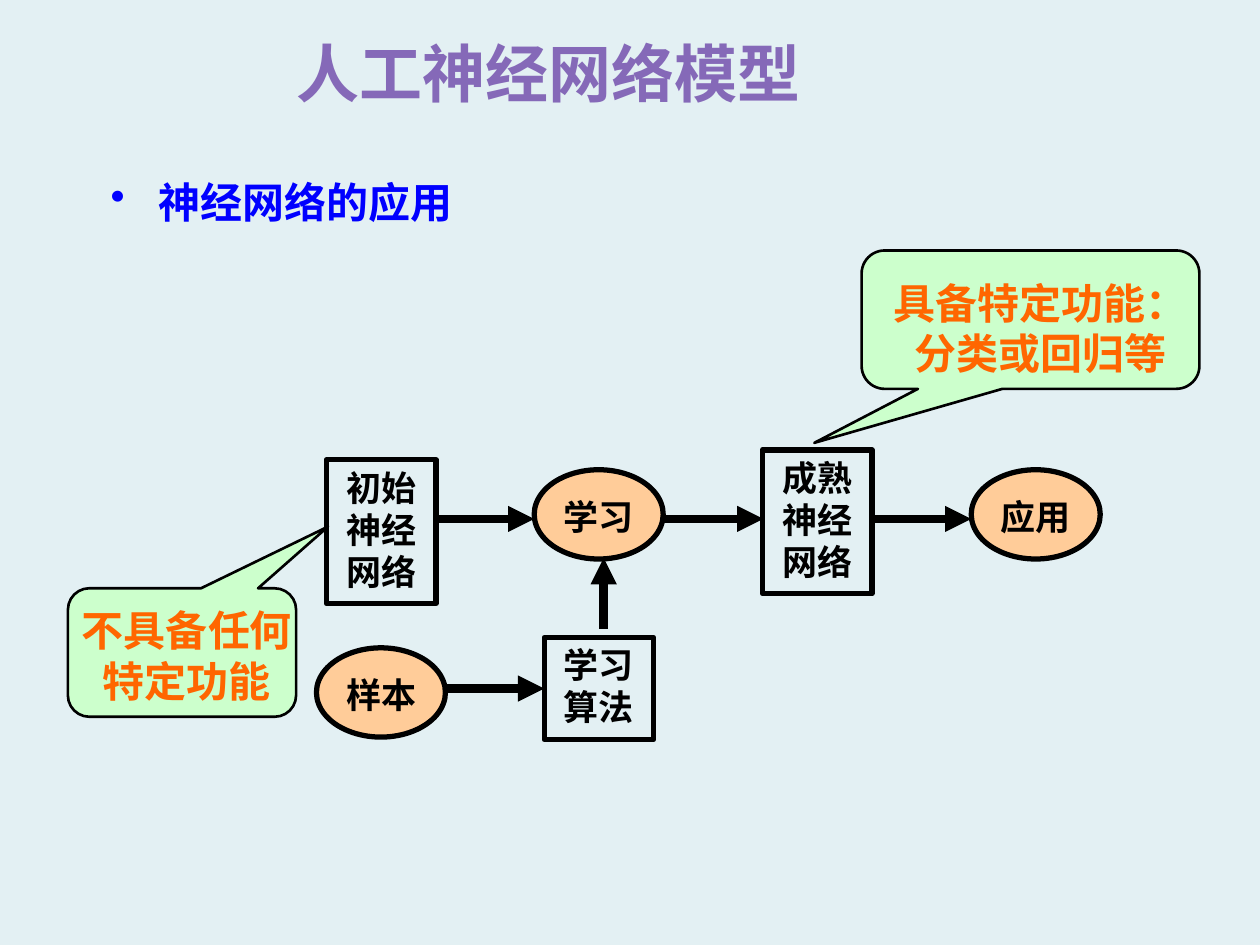
import pptx
import pptx.dml.color
import pptx.enum.shapes
import pptx.enum.text
import pptx.oxml.ns
import pptx.util
import lxml.etree

Cm = pptx.util.Cm
Pt = pptx.util.Pt
Shape = pptx.enum.shapes.MSO_SHAPE
Align = pptx.enum.text.PP_ALIGN
Anchor = pptx.enum.text.MSO_ANCHOR
qn = pptx.oxml.ns.qn


def color(hex_code):
    return pptx.dml.color.RGBColor.from_string(hex_code)


def write_text(shape, text, size=20, font="Cabin", hex_code="000000",
               align=Align.CENTER, anchor=Anchor.TOP):
    frame = shape.text_frame
    frame.word_wrap = True
    frame.vertical_anchor = anchor
    paragraph = frame.paragraphs[0]
    paragraph.alignment = align
    run = paragraph.add_run()
    run.text = text
    run.font.size = Pt(size)
    run.font.bold = True
    run.font.name = font
    run.font.color.rgb = color(hex_code)
    # Chinese characters follow the East Asian font
    east_asian = lxml.etree.SubElement(run.font._element, qn("a:ea"))
    east_asian.set("typeface", font)
    return paragraph


presentation = pptx.Presentation()
presentation.slide_width = Cm(25.4)
presentation.slide_height = Cm(19.05)
slide = presentation.slides.add_slide(presentation.slide_layouts[6])
slide.background.fill.solid()
slide.background.fill.fore_color.rgb = color("E3F0F3")
shapes = slide.shapes

# Title
title = shapes.add_textbox(Cm(5.31), Cm(0), Cm(11.51), Cm(2.34))
write_text(title, "人工神经网络模型", size=36, font="Montserrat",
           hex_code="8569B8", anchor=Anchor.BOTTOM)

# Bulleted heading
heading = shapes.add_textbox(Cm(1.98), Cm(2.92), Cm(11.2), Cm(1.8))
paragraph = write_text(heading, "神经网络的应用", size=24, font="Noto Sans CJK SC",
                       hex_code="0000FF", align=Align.LEFT)
paragraph.line_spacing = 1.5
properties = paragraph._p.get_or_add_pPr()
properties.set("marL", str(Cm(0.97)))
properties.set("indent", str(-Cm(0.97)))
lxml.etree.SubElement(properties, qn("a:buChar")).set("char", "•")

# Network and algorithm boxes
boxes = {}
for text, left, top, height in [
    ("初始神经网络", 6.58, 9.27, 2.9),
    ("成熟神经网络", 15.37, 9.07, 2.9),
    ("学习算法", 10.97, 12.85, 2.06),
]:
    box = shapes.add_shape(Shape.RECTANGLE, Cm(left), Cm(top), Cm(2.21), Cm(height))
    box.shadow.inherit = False
    box.fill.background()
    box.line.color.rgb = color("000000")
    box.line.width = Pt(3)
    write_text(box, text)
    boxes[text] = box

# Ellipses with their labels
for text, left, top in [
    ("学习", 10.77, 9.47),
    ("应用", 19.58, 9.47),
    ("样本", 6.38, 13.06),
]:
    ellipse = shapes.add_shape(Shape.OVAL, Cm(left), Cm(top), Cm(2.6), Cm(1.8))
    ellipse.shadow.inherit = False
    ellipse.fill.solid()
    ellipse.fill.fore_color.rgb = color("FFCC99")
    ellipse.line.color.rgb = color("000000")
    ellipse.line.width = Pt(3)
    label = shapes.add_textbox(Cm(left + 0.2), Cm(top + 0.39), Cm(2.21), Cm(1.09))
    write_text(label, text)

# Arrows: start, end, and the box whose left side the arrow meets
for start_x, start_y, end_x, end_y, target in [
    (8.76, 10.46, 10.77, 10.46, None),
    (13.39, 10.46, 15.39, 10.46, None),
    (17.58, 10.46, 19.58, 10.46, None),
    (12.17, 12.67, 12.17, 11.25, None),
    (8.97, 13.88, 10.97, 13.88, "学习算法"),
]:
    arrow = shapes.add_connector(pptx.enum.shapes.MSO_CONNECTOR.STRAIGHT,
                                 Cm(start_x), Cm(start_y), Cm(end_x), Cm(end_y))
    if target:
        arrow.end_connect(boxes[target], 1)
    arrow.line.color.rgb = color("000000")
    arrow.line.width = Pt(5)
    line = arrow.line._get_or_add_ln()
    lxml.etree.SubElement(line, qn("a:tailEnd")).set("type", "triangle")
    lxml.etree.SubElement(arrow._element.spPr, qn("a:effectLst"))

# Callouts with their texts
for text, place, pointer, text_place in [
    ("不具备任何特定功能", (1.37, 11.86, 4.6, 2.59), (0.64, -0.98),
     (1.37, 12.07, 4.8, 2.31)),
    ("具备特定功能：分类或回归等", (17.37, 5.05, 6.81, 2.79), (-0.64, 0.89),
     (17.58, 5.46, 6.81, 2.31)),
]:
    callout = shapes.add_shape(Shape.ROUNDED_RECTANGULAR_CALLOUT, *map(Cm, place))
    callout.adjustments[0], callout.adjustments[1] = pointer
    callout.shadow.inherit = False
    callout.fill.solid()
    callout.fill.fore_color.rgb = color("CCFFCC")
    callout.line.color.rgb = color("000000")
    callout.line.width = Pt(1.5)
    note = shapes.add_textbox(*map(Cm, text_place))
    write_text(note, text, size=24, hex_code="FF6600")

presentation.save("out.pptx")
